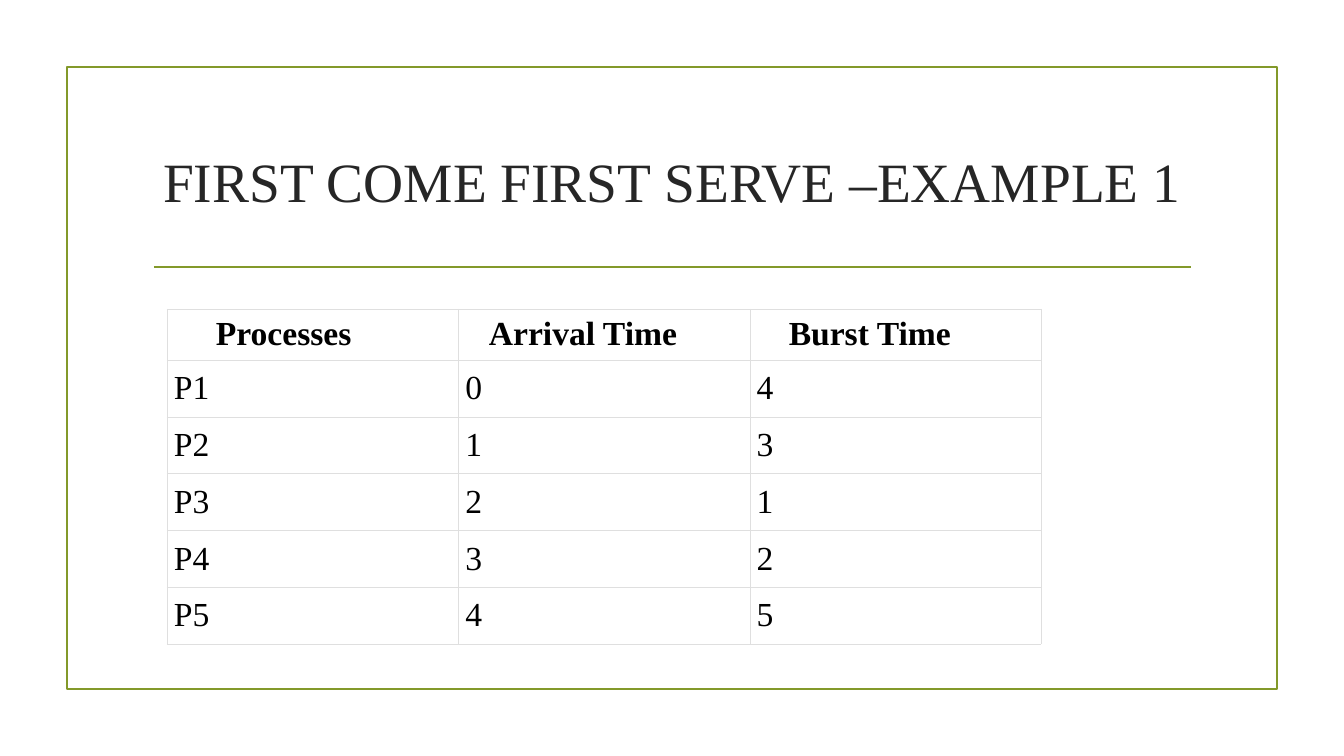
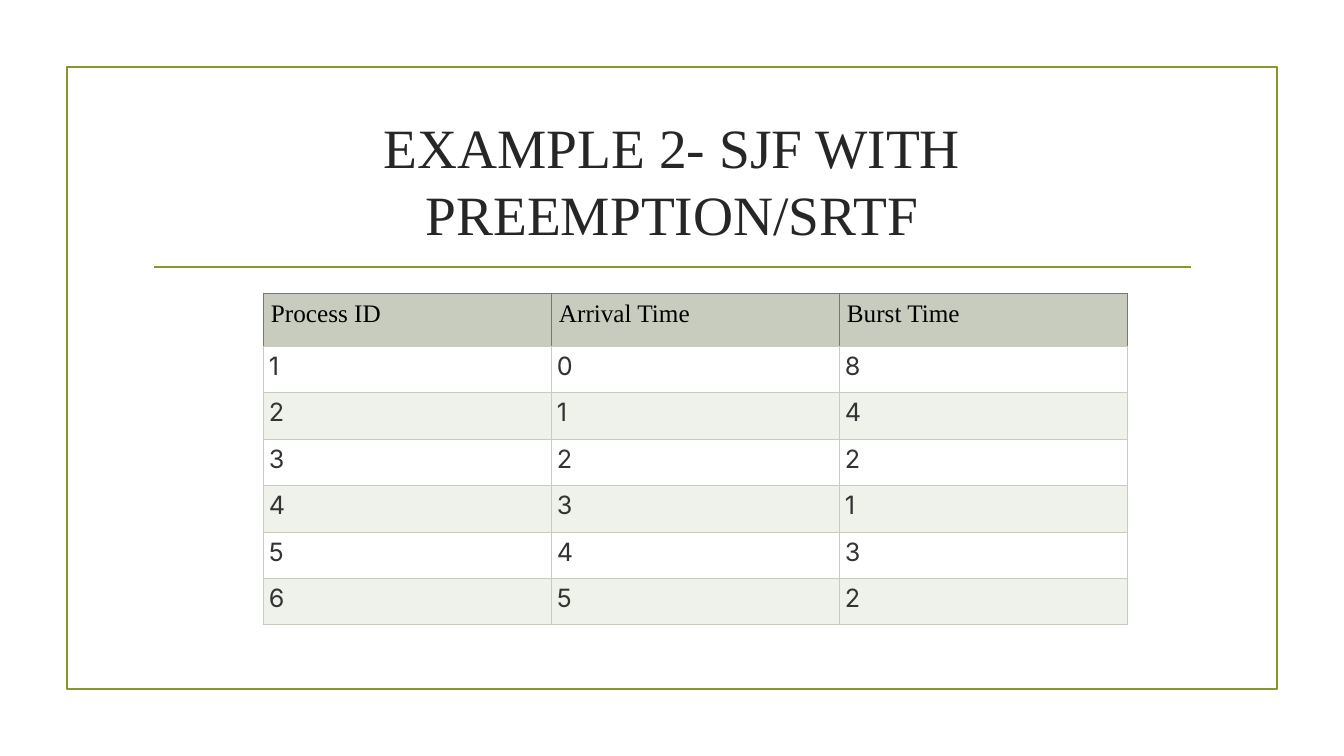
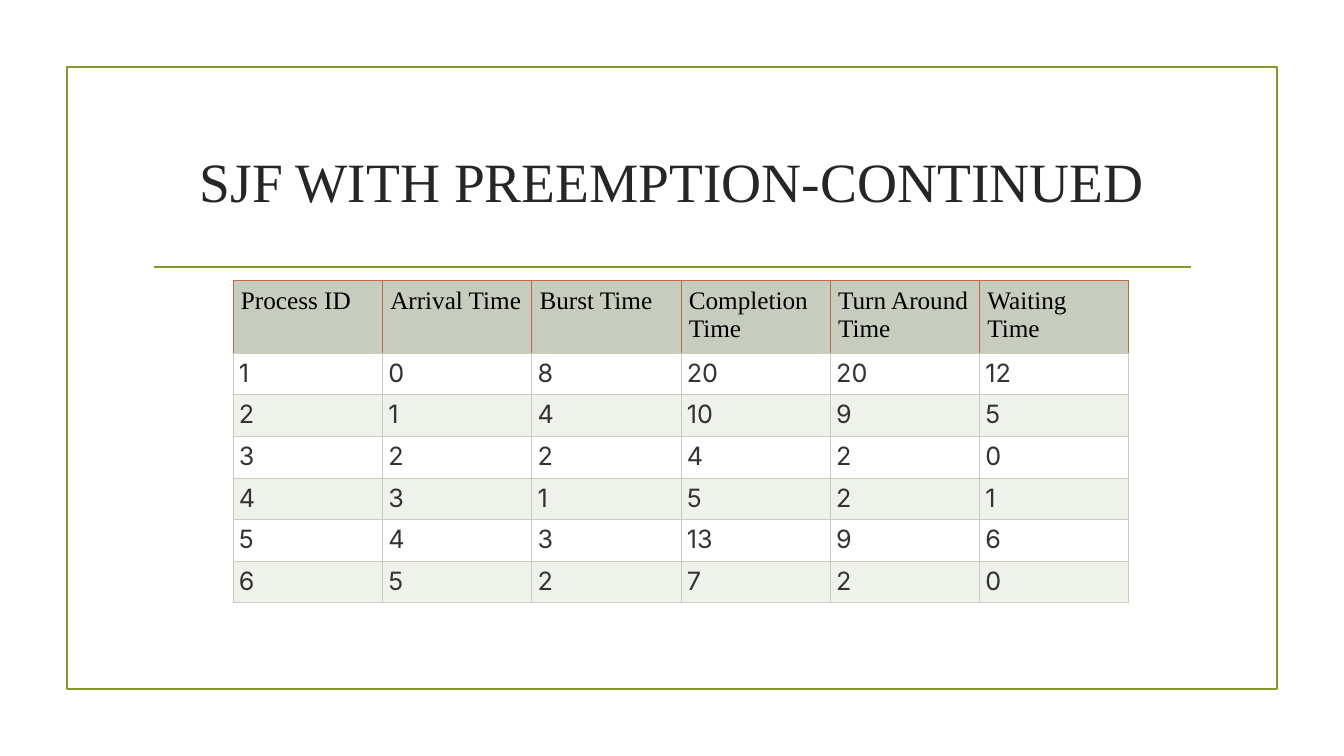
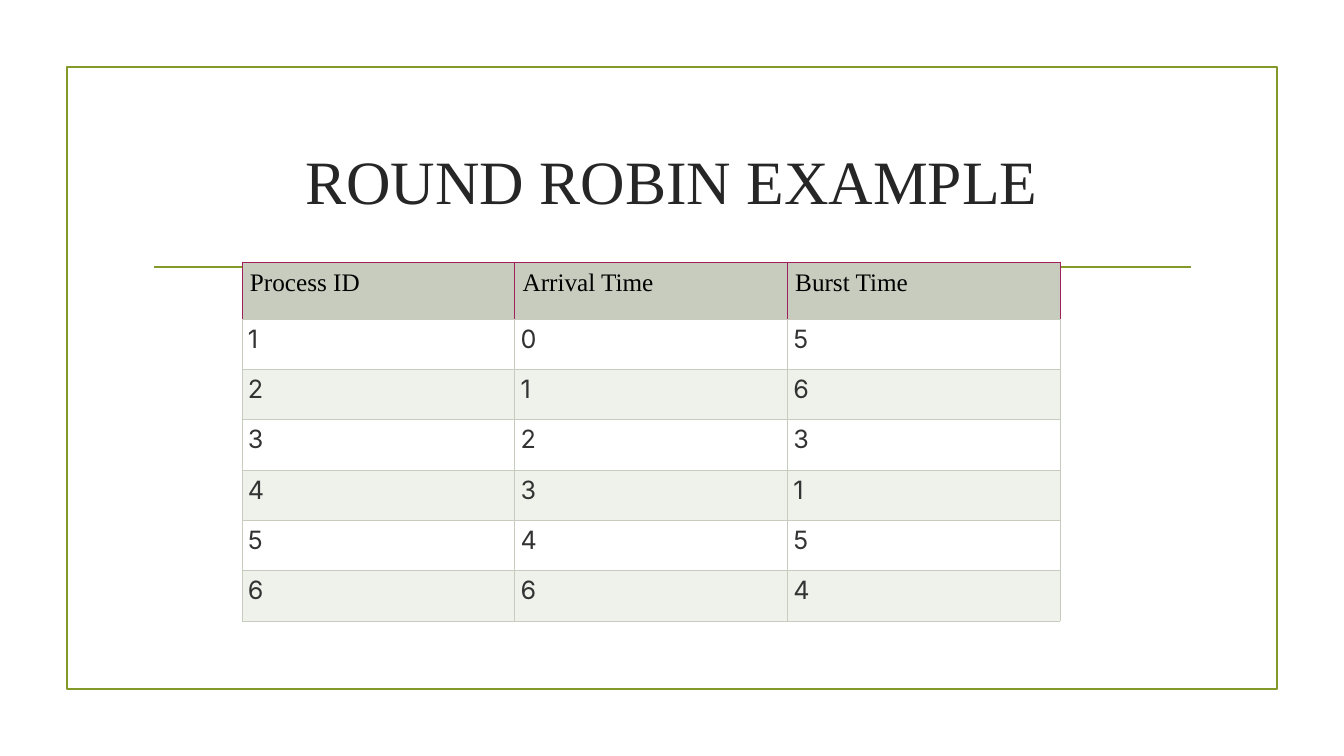
from lxml import etree
from pptx import Presentation
from pptx.dml.color import RGBColor
from pptx.enum.shapes import MSO_CONNECTOR, MSO_SHAPE
from pptx.enum.text import MSO_ANCHOR, MSO_AUTO_SIZE, PP_ALIGN
from pptx.oxml.ns import qn
from pptx.util import Pt

LEFT, CENTER, JUSTIFY = PP_ALIGN.LEFT, PP_ALIGN.CENTER, PP_ALIGN.JUSTIFY
TOP, MIDDLE = MSO_ANCHOR.TOP, MSO_ANCHOR.MIDDLE
SERIF, SANS = "Times New Roman", "Inter"

OLIVE = RGBColor(0x83, 0x99, 0x2A)
INK = RGBColor(0x26, 0x26, 0x26)
BLACK = RGBColor(0, 0, 0)
GRAPHITE = RGBColor(0x33, 0x33, 0x33)
WHITE = RGBColor(0xFF, 0xFF, 0xFF)
SILVER = RGBColor(0xDF, 0xDF, 0xDF)
SAGE = RGBColor(0xC7, 0xCC, 0xBE)
PALE_SAGE = RGBColor(0xEF, 0xF1, 0xEB)
GREEN = RGBColor(0x50, 0x92, 0x4F)
RUST = RGBColor(0xC0, 0x6B, 0x3F)
MAGENTA = RGBColor(0xA0, 0x20, 0x5B)

# Cell margins are (left, top, right, bottom) in px.
PLAIN = dict(
    header=dict(font=SERIF, size=24, bold=True, color=BLACK, align=CENTER),
    body=dict(font=SERIF, size=24, color=BLACK, align=LEFT),
    header_margins=(7, 6, 7, 6), body_margins=(7, 9, 7, 9), anchor=MIDDLE,
    header_fill=WHITE, body_fills=(WHITE, WHITE), border=SILVER, width=0.15)
BANDED = dict(
    header=dict(font=SERIF, size=18, color=BLACK, align=LEFT),
    body=dict(font=SANS, size=18, color=GRAPHITE, align=JUSTIFY),
    header_margins=(8, 7, 8, 7), body_margins=(6, 5, 6, 5), anchor=TOP,
    header_fill=SAGE, body_fills=(WHITE, PALE_SAGE), border=SAGE, width=0.5)

# box is left, top, width; header_h and body_h are the heights of the two parts.
# header_shift widens the right margin of each header cell.
SLIDES = [
    dict(title="FIRST COME FIRST SERVE –EXAMPLE 1", size=39.6, style=PLAIN,
         box=(167, 309, 874), header_h=51, body_h=284,
         header_line=SILVER, header_shift=(58, 42, 51),
         rows=[("Processes", "Arrival Time", "Burst Time"),
               ("P1", 0, 4), ("P2", 1, 3), ("P3", 2, 1), ("P4", 3, 2),
               ("P5", 4, 5)]),
    dict(title="EXAMPLE 2- SJF WITH PREEMPTION/SRTF", size=39.6, style=BANDED,
         box=(263, 293, 864), header_h=53, body_h=279, header_line=GREEN,
         rows=[("Process ID", "Arrival Time", "Burst Time"),
               (1, 0, 8), (2, 1, 4), (3, 2, 2), (4, 3, 1), (5, 4, 3),
               (6, 5, 2)]),
    dict(title="SJF WITH PREEMPTION-CONTINUED", size=39.6, style=BANDED,
         box=(233, 280, 896), header_h=73, body_h=250, header_line=RUST,
         rows=[("Process ID", "Arrival Time", "Burst Time", "Completion Time",
                "Turn Around Time", "Waiting Time"),
               (1, 0, 8, 20, 20, 12), (2, 1, 4, 10, 9, 5), (3, 2, 2, 4, 2, 0),
               (4, 3, 1, 5, 2, 1), (5, 4, 3, 13, 9, 6), (6, 5, 2, 7, 2, 0)]),
    dict(title="ROUND ROBIN EXAMPLE", size=44, style=BANDED,
         box=(242, 262, 818), header_h=57, body_h=302, header_line=MAGENTA,
         rows=[("Process ID", "Arrival Time", "Burst Time"),
               (1, 0, 5), (2, 1, 6), (3, 2, 3), (4, 3, 1), (5, 4, 5),
               (6, 6, 4)]),
]


def px(n):
    return round(n * 914400 / 100.8)


def write(tf, text, font, size, color, bold=False, align=LEFT):
    p = tf.paragraphs[0]
    p.alignment = align
    r = p.add_run()
    r.text = str(text)
    f = r.font
    f.name, f.size, f.bold = font, Pt(size), bold
    f.color.rgb = color


def set_borders(cell, colors, width):
    """Give a cell its left, right, top and bottom lines."""
    tc_pr = cell._tc.get_or_add_tcPr()
    for i, (side, color) in enumerate(zip("LRTB", colors)):
        ln = etree.Element(qn(f"a:ln{side}"), w=str(Pt(width)))
        fill = etree.SubElement(ln, qn("a:solidFill"))
        etree.SubElement(fill, qn("a:srgbClr"), val=str(color))
        tc_pr.insert(i, ln)


def format_layout(layout, s):
    """Set the title area, and move a frame and a rule drawn on s to the layout."""
    title = layout.placeholders[0]
    title.left, title.top, title.width, title.height = map(px, (143, 108, 1058, 144))
    title.text_frame.vertical_anchor = MIDDLE
    title.text_frame.auto_size = MSO_AUTO_SIZE.NONE

    frame = s.shapes.add_shape(MSO_SHAPE.RECTANGLE, *map(px, (67, 67, 1210, 622)))
    frame.shadow.inherit = False
    frame.fill.background()
    rule = s.shapes.add_connector(MSO_CONNECTOR.STRAIGHT, *map(px, (154, 267, 1191, 267)))
    for shape in (frame, rule):
        shape.line.color.rgb = OLIVE
        shape.line.width = Pt(1.25)
        layout.shapes.element.append(shape.element)
    etree.SubElement(rule.element.spPr, qn("a:effectLst"))


def add_grid(s, style, box, rows, header_h, body_h, header_line, header_shift=None):
    n_rows, n_cols = len(rows), len(rows[0])
    left, top, width = box
    table = s.shapes.add_table(n_rows, n_cols, px(left), px(top), px(width),
                               px(header_h + body_h)).table
    table.first_row = table.horz_banding = False
    for col in table.columns:
        col.width = px(width / n_cols)
    shifts = header_shift or [0] * n_cols
    border = style["border"]
    for i, values in enumerate(rows):
        part = "body" if i else "header"
        table.rows[i].height = px(body_h / (n_rows - 1) if i else header_h)
        fill = style["body_fills"][(i - 1) % 2] if i else style["header_fill"]
        line = border if i else header_line
        m_left, m_top, m_right, m_bottom = style[part + "_margins"]
        for j, value in enumerate(values):
            cell = table.cell(i, j)
            cell.margin_left, cell.margin_top = px(m_left), px(m_top)
            cell.margin_right = px(m_right + (0 if i else shifts[j]))
            cell.margin_bottom = px(m_bottom)
            cell.vertical_anchor = style["anchor"]
            cell.fill.solid()
            cell.fill.fore_color.rgb = fill
            set_borders(cell, (line, line, line, border), style["width"])
            write(cell.text_frame, value, **style[part])


def main():
    prs = Presentation()
    prs.slide_width, prs.slide_height = px(1344), px(756)
    layout = prs.slide_layouts[5]
    for i, content in enumerate(SLIDES):
        s = prs.slides.add_slide(layout)
        if i == 0:
            format_layout(layout, s)
        grid = dict(content)
        write(s.shapes.title.text_frame, grid.pop("title"), font=SERIF,
              size=grid.pop("size"), color=INK, align=CENTER)
        add_grid(s, **grid)
    prs.save("out.pptx")


if __name__ == "__main__":
    main()
